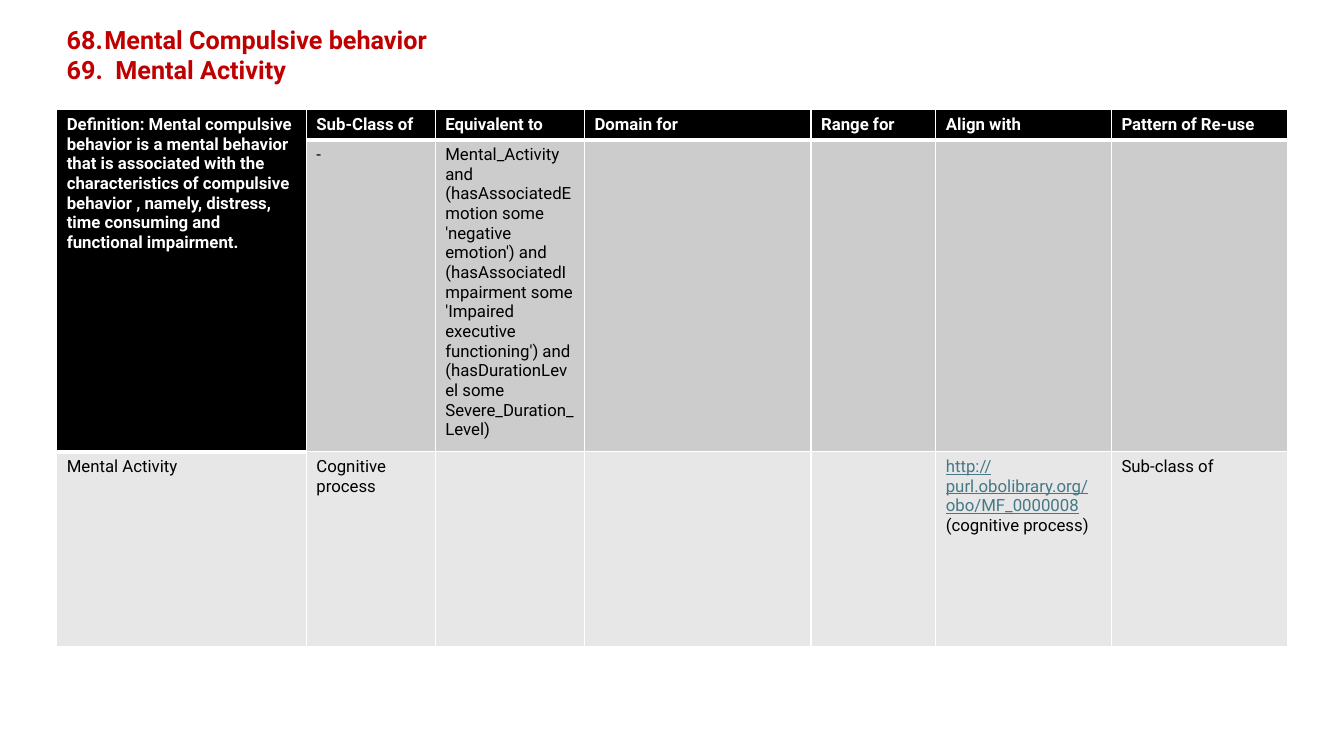
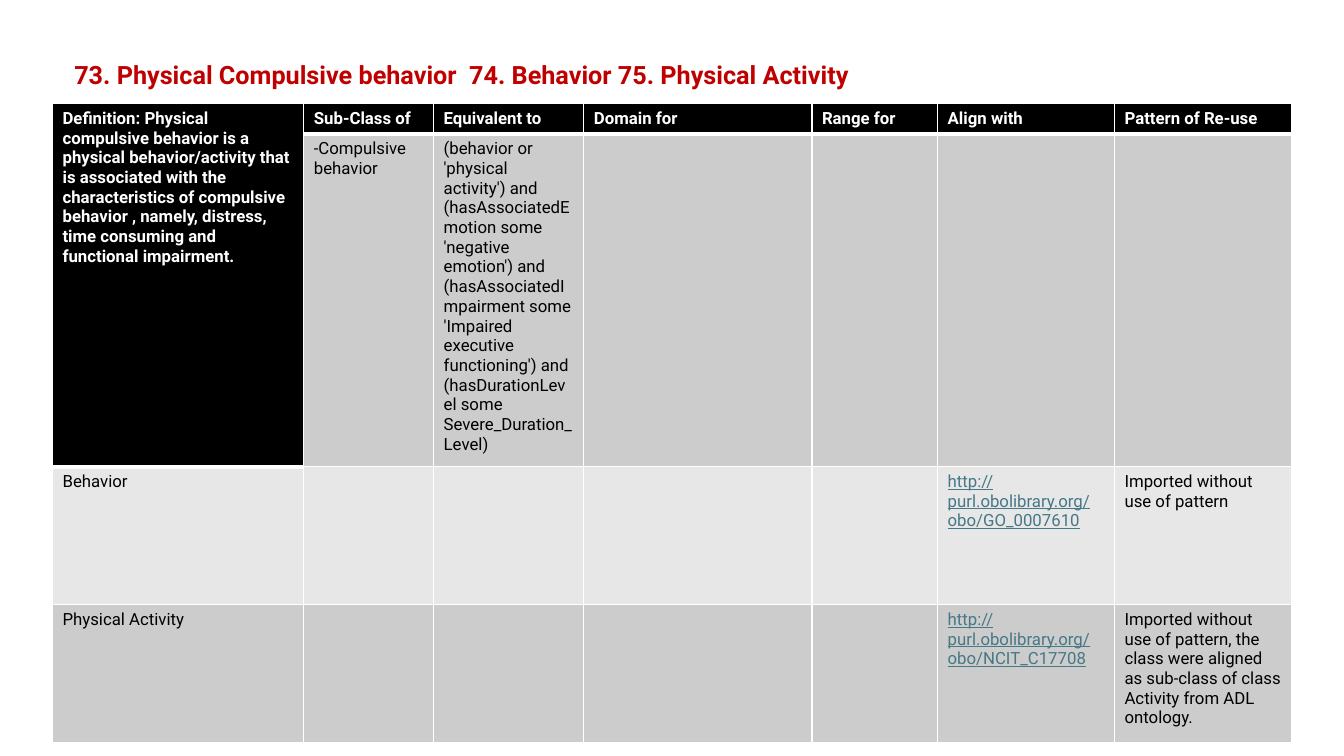
from dataclasses import dataclass

from lxml import etree
from pptx import Presentation
from pptx import util as u
from pptx.dml.color import RGBColor
from pptx.enum import text as t
from pptx.oxml import ns


@dataclass(frozen=True)
class Theme:
    font: str = "Roboto"
    title: str = "C00000"
    header: str = "000000"
    header_text: str = "FFFFFF"
    body_text: str = "000000"
    link: str = "467886"
    border: str = "FFFFFF"
    bands: tuple = ("CCCCCC", "E7E7E7")
    title_size: float = 18
    table_size: float = 12
    thin: float = 1
    thick: float = 3


# Column proportions and headings shared by all class tables
COLUMN_SHARES = (179, 92.5, 107, 162.5, 89.5, 126, 126)
HEADINGS = ("Sub-Class of", "Equivalent to", "Domain for", "Range for",
            "Align with", "Pattern of Re-use")
HEADER_HEIGHT = 21
COMPULSION = ("(hasAssociatedEmotion some 'negative emotion') and "
              "(hasAssociatedImpairment some 'Impaired executive functioning') and "
              "(hasDurationLevel some Severe_Duration_Level)")
CHARACTERISTICS = ("that is associated with the characteristics of compulsive behavior , "
                   "namely, distress, time consuming and functional impairment.")


class Deck:
    def __init__(self, theme):
        self.theme = theme
        self.presentation = Presentation()
        self.presentation.slide_width = u.Pt(960)
        self.presentation.slide_height = u.Pt(540)
        self.slide = None

    def add_slide(self):
        self.slide = self.presentation.slides.add_slide(self.presentation.slide_layouts[6])

    def add_run(self, paragraph, text, size, color, bold=False, underline=False):
        run = paragraph.add_run()
        run.text = text
        font = run.font
        font.name, font.size = self.theme.font, u.Pt(size)
        font.bold, font.underline = bold, underline
        font.color.rgb = RGBColor.from_string(color)

    def add_lines(self, frame, lines, size, color, bold=False):
        for index, line in enumerate(lines):
            paragraph = frame.add_paragraph() if index else frame.paragraphs[0]
            is_link = line.startswith("http://")
            self.add_run(paragraph, line, size, self.theme.link if is_link else color,
                         bold, is_link)

    def number(self, paragraph, start, indent):
        properties = paragraph._p.get_or_add_pPr()
        properties.set("marL", str(u.Pt(indent)))
        properties.set("indent", str(-u.Pt(indent)))
        etree.SubElement(properties, ns.qn("a:buAutoNum"),
                         type="arabicPeriod", startAt=str(start))

    def add_title(self, left, top, width, height, lines, first_number=None):
        box = self.slide.shapes.add_textbox(*map(u.Pt, (left, top, width, height)))
        frame = box.text_frame
        frame.word_wrap = True
        frame.auto_size = t.MSO_AUTO_SIZE.SHAPE_TO_FIT_TEXT
        self.add_lines(frame, lines, self.theme.title_size, self.theme.title, bold=True)
        if first_number:
            self.number(frame.paragraphs[0], first_number, 27)

    def style_cell(self, cell, fill, top, bottom):
        properties = cell._tc.get_or_add_tcPr()
        thin = self.theme.thin
        for side, width in (("L", thin), ("R", thin), ("T", top), ("B", bottom)):
            line = etree.SubElement(properties, ns.qn(f"a:ln{side}"), w=str(u.Pt(width)))
            solid = etree.SubElement(line, ns.qn("a:solidFill"))
            etree.SubElement(solid, ns.qn("a:srgbClr"), val=self.theme.border)
        cell.fill.solid()
        cell.fill.fore_color.rgb = RGBColor.from_string(fill)

    def add_class_table(self, left, top, width, definition, body, heights):
        """Body rows map a column index to its lines of text."""
        theme = self.theme
        rows = [dict(enumerate([[definition]] + [[name] for name in HEADINGS])), *body]
        heights = (HEADER_HEIGHT, *heights)
        table = self.slide.shapes.add_table(
            len(rows), len(COLUMN_SHARES),
            *map(u.Pt, (left, top, width, sum(heights)))).table
        table.first_row = table.horz_banding = False
        for column, share in zip(table.columns, COLUMN_SHARES):
            column.width = u.Pt(width * share / sum(COLUMN_SHARES))
        for row, height in zip(table.rows, heights):
            row.height = u.Pt(height)
        table.cell(0, 0).merge(table.cell(1, 0))

        # The definition cell spans the first two rows of column 0
        for row, contents in enumerate(rows):
            for column in range(len(COLUMN_SHARES)):
                header_rows = 2 if column == 0 else 1
                is_header = row < header_rows
                cell = table.cell(row, column)
                self.style_cell(cell,
                                theme.header if is_header else theme.bands[(row - 1) % 2],
                                theme.thick if row == header_rows else theme.thin,
                                theme.thick if is_header else theme.thin)
                self.add_lines(cell.text_frame, contents.get(column, []), theme.table_size,
                               theme.header_text if is_header else theme.body_text, is_header)

    def save(self):
        self.presentation.save("out.pptx")


def main():
    deck = Deck(Theme())

    # Mental compulsive behavior
    deck.add_slide()
    deck.add_class_table(
        40.5, 78.5, 879,
        f"Definition: Mental compulsive behavior is a mental behavior {CHARACTERISTICS}",
        [{1: ["-"], 2: [f"Mental_Activity and {COMPULSION}"]},
         {0: ["Mental Activity"], 1: ["Cognitive process"],
          5: ["http://purl.obolibrary.org/obo/MF_0000008", "(cognitive process)"],
          6: ["Sub-class of"]}],
        (223, 139))
    deck.add_title(40.5, 13.7, 480, 72.7,
                   ["Mental Compulsive behavior", "69.  Mental Activity"], first_number=68)

    # Physical compulsive behavior
    deck.add_slide()
    deck.add_title(46, 38.9, 792, 51,
                   ["73. Physical Compulsive behavior  74. Behavior 75. Physical Activity"])
    deck.add_class_table(
        37.5, 74.2, 885,
        f"Definition: Physical compulsive behavior is a physical behavior/activity {CHARACTERISTICS}",
        [{1: ["-Compulsive behavior"],
          2: [f"(behavior or 'physical activity') and {COMPULSION}"]},
         {0: ["Behavior"], 5: ["http://purl.obolibrary.org/obo/GO_0007610"],
          6: ["Imported without use of pattern"]},
         {0: ["Physical Activity"], 5: ["http://purl.obolibrary.org/obo/NCIT_C17708"],
          6: ["Imported without use of pattern, the class were aligned as sub-class of "
              "class Activity from ADL ontology."]}],
        (237.5, 98.5, 98.5))

    deck.save()


if __name__ == "__main__":
    main()
